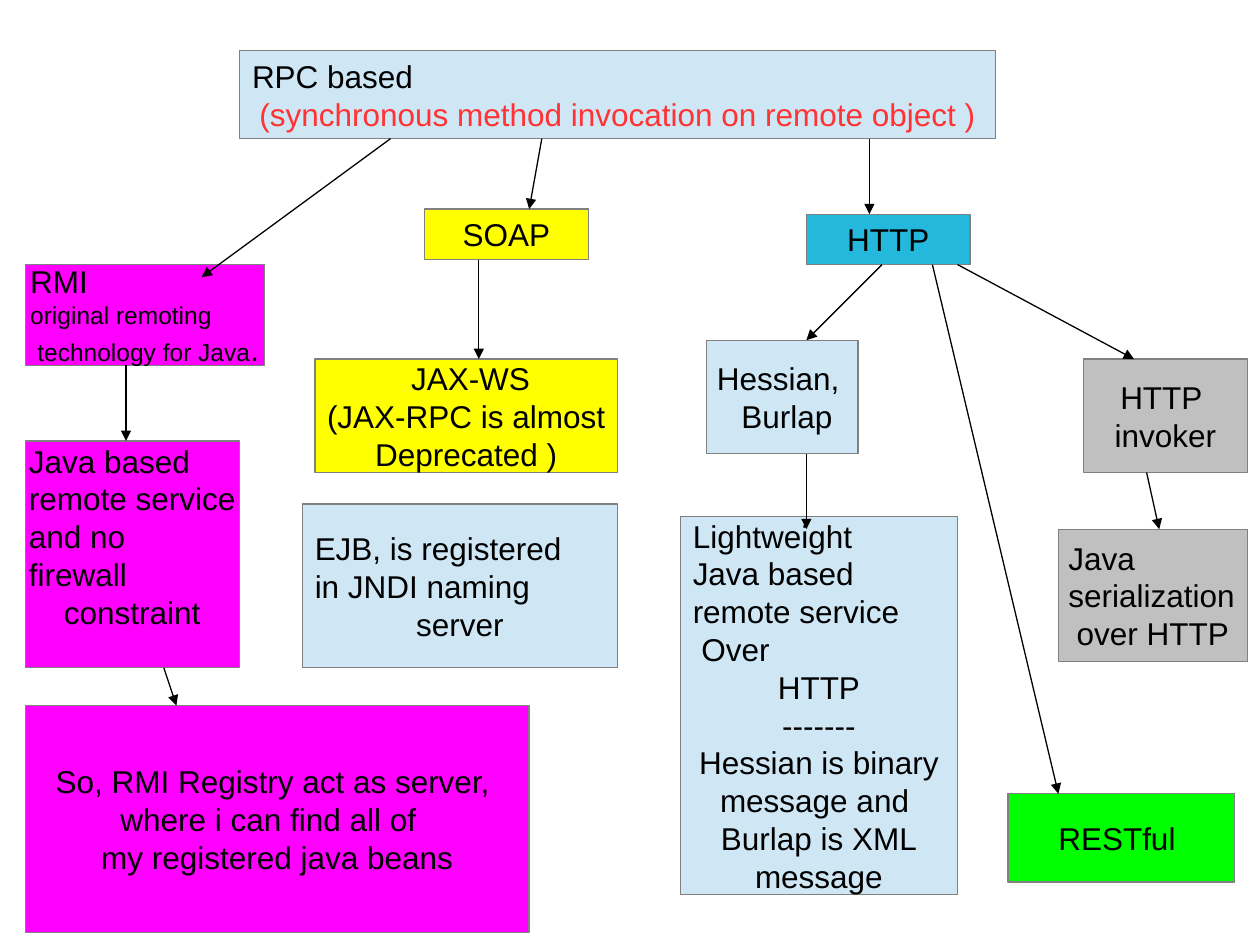
from dataclasses import dataclass
from typing import NamedTuple

from lxml.etree import SubElement
from pptx import Presentation
from pptx.dml.color import RGBColor
from pptx.enum.shapes import MSO_CONNECTOR as Connector, MSO_SHAPE as Preset
from pptx.enum.text import MSO_ANCHOR as Anchor, MSO_AUTO_SIZE as AutoSize, PP_ALIGN as Align
from pptx.oxml.ns import qn
from pptx.util import Emu, Inches, Pt

COLUMNS, ROWS = 100, 75
CELL = Inches(0.1)
PALE, PINK, GRAY, YELLOW = "CFE7F5", "FF00FF", "C0C0C0", "FFFF00"
CYAN, GREEN, RED, BLACK, EDGE = "23B8DC", "00FF00", "FF3333", "000000", "808080"


class Part(NamedTuple):
    text: str
    size: int = 18
    color: str = BLACK


class Arrow(NamedTuple):
    start: tuple[float, float]
    end: tuple[float, float]


@dataclass(frozen=True)
class Box:
    column: float
    row: float
    width: float
    height: float
    fill: str
    lines: tuple
    left_lines: int = 0
    side_inset: float = 1
    bottom_inset: float = 0.5


TITLE = Box(19, 4, 60, 7, PALE,
            ("RPC based ", Part("(synchronous method invocation on remote object )", 18, RED)), 1)

BOXES = (
    Box(2, 21, 19, 8, PINK,
        ("RMI", Part("original remoting", 14), (Part(" technology for Java", 14), Part("."))),
        2, 0.4),
    Box(86, 28.5, 13, 9, GRAY, ("HTTP ", "invoker")),
    Box(25, 28.5, 24, 9, YELLOW, (" JAX-WS", "(JAX-RPC is almost", "Deprecated )")),
    Box(56.1, 27, 12, 9, PALE, ("Hessian, ", " Burlap"), 1, 0.8),
    Box(2, 35, 17, 18, PINK,
        ("Java based", "remote service", "and no", "firewall ", "constraint"), 4, 0.3, 3.4),
    Box(84, 42, 15, 10.5, GRAY, ("Java ", "serialization", "over HTTP"), 2, 0.8),
    Box(54, 41, 22, 30, PALE,
        ("Lightweight ", "Java based", "remote service", " Over ", "HTTP", "-------",
         "Hessian is binary", "message and ", "Burlap is XML", "message"), 4),
    Box(33.7, 16.6, 13, 4, YELLOW, ("SOAP",)),
    Box(64, 17, 13, 4, CYAN, ("HTTP",)),
    Box(80, 63, 18, 7, GREEN, ("RESTful ",)),
    Box(2, 56, 40, 18, PINK,
        ("So, RMI Registry act as server, ", "where i can find all of  ", "my registered java beans")),
    Box(24, 40, 25, 13, PALE, ("EJB, is registered ", "in JNDI naming ", "server"), 2),
)

ARROWS = (
    Arrow((31, 11), (16, 22)),
    Arrow((43, 11), (42, 16.6)),
    Arrow((69, 11), (69, 17)),
    Arrow((10, 29), (10, 35)),
    Arrow((13, 53), (14, 56)),
    Arrow((38, 20.6), (38, 28.5)),
    Arrow((70, 21), (64, 27)),
    Arrow((76, 21), (90, 28.5)),
    Arrow((74, 21), (84, 63)),
    Arrow((64, 36), (64, 42)),
    Arrow((91, 37.5), (92, 42)),
)


def cells(count: float) -> Emu:
    return Emu(round(count * CELL))


def rgb(value: str) -> RGBColor:
    return RGBColor.from_string(value)


def apply(target, values: dict) -> None:
    for name, value in values.items():
        setattr(target, name, value)


def write_lines(shape, box: Box) -> None:
    frame = shape.text_frame
    apply(frame, {
        "word_wrap": False, "auto_size": AutoSize.NONE, "vertical_anchor": Anchor.MIDDLE,
        "margin_left": cells(box.side_inset), "margin_right": cells(box.side_inset),
        "margin_top": cells(0.5), "margin_bottom": cells(box.bottom_inset),
    })
    for index, line in enumerate(box.lines):
        paragraph = frame.add_paragraph() if index else frame.paragraphs[0]
        paragraph.alignment = Align.LEFT if index < box.left_lines else Align.CENTER
        if isinstance(line, str):
            parts = (Part(line),)
        else:
            parts = (line,) if isinstance(line, Part) else line
        for part in parts:
            run = paragraph.add_run()
            run.text = part.text
            apply(run.font, {"name": "Arial", "size": Pt(part.size)})
            run.font.color.rgb = rgb(part.color)


def format_box(shape, box: Box) -> None:
    apply(shape, {"left": cells(box.column), "top": cells(box.row),
                  "width": cells(box.width), "height": cells(box.height)})
    shape.fill.solid()
    shape.fill.fore_color.rgb = rgb(box.fill)
    shape.line.color.rgb = rgb(EDGE)
    shape.line.width = Pt(0.75)
    write_lines(shape, box)


def draw_box(slide, box: Box) -> None:
    shape = slide.shapes.add_shape(Preset.RECTANGLE, 0, 0, CELL, CELL)
    shape.shadow.inherit = False
    format_box(shape, box)


def draw_arrow(slide, arrow: Arrow) -> None:
    ends = [cells(value) for value in (*arrow.start, *arrow.end)]
    connector = slide.shapes.add_connector(Connector.STRAIGHT, *ends)
    connector.line.color.rgb = rgb(BLACK)
    connector.line.width = Pt(0.75)
    properties = connector._element.spPr
    SubElement(properties.find(qn("a:ln")), qn("a:tailEnd"), type="triangle")
    SubElement(properties, qn("a:effectLst"))


def main() -> None:
    presentation = Presentation()
    apply(presentation, {"slide_width": cells(COLUMNS), "slide_height": cells(ROWS)})
    slide = presentation.slides.add_slide(presentation.slide_layouts[5])
    format_box(slide.shapes.title, TITLE)
    for box in BOXES:
        draw_box(slide, box)
    for arrow in ARROWS:
        draw_arrow(slide, arrow)
    presentation.save("out.pptx")


if __name__ == "__main__":
    main()
